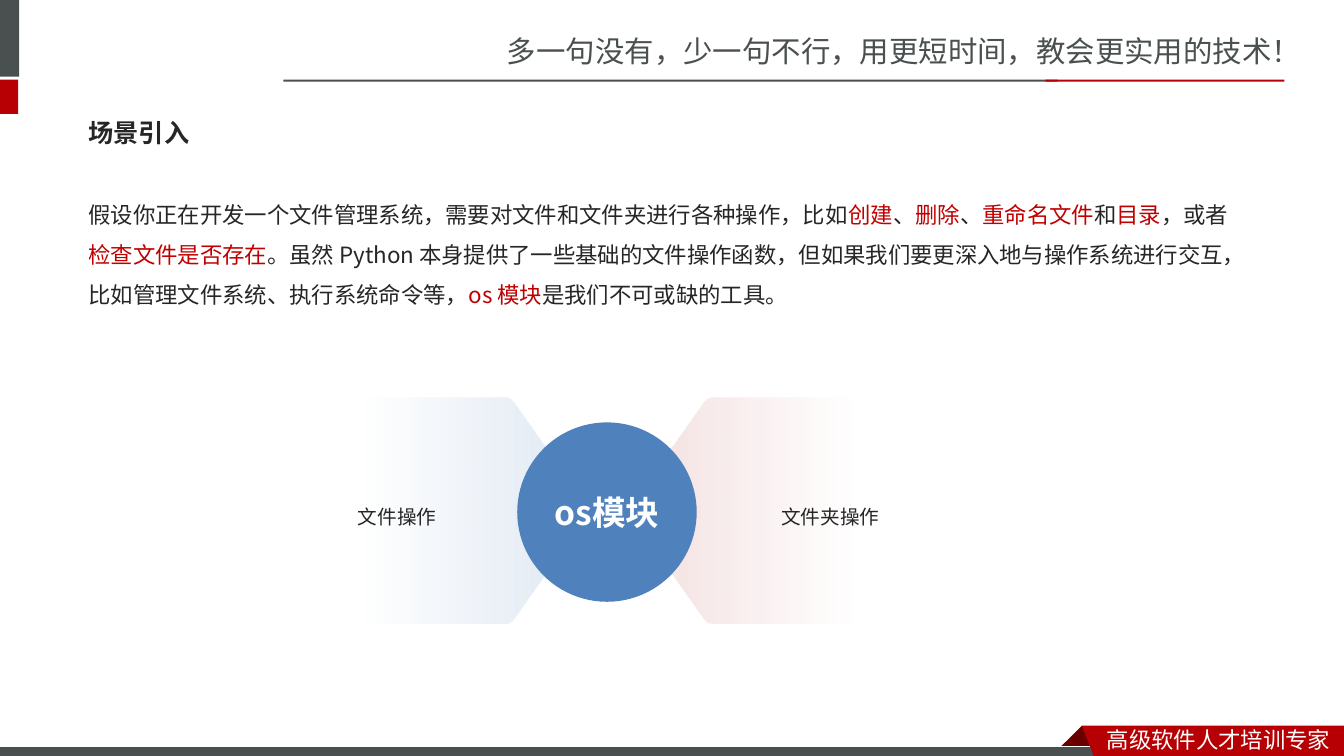
from lxml import etree
from pptx import Presentation
from pptx import util as u
from pptx.dml.color import RGBColor
from pptx.enum import shapes as sh, text as tx
from pptx.oxml.ns import qn

HEX = {"grey": "49504F", "red": "B60004", "fold": "680000", "white": "FFFFFF",
       "ink": "262626", "mark": "C00000", "blue": "4F81BD",
       "rose": "D99694", "sky": "95B3D7"}
RGB = {name: RGBColor.from_string(code) for name, code in HEX.items()}
SC, JP = "Noto Sans CJK SC", "Noto Sans CJK JP"

deck = Presentation()
deck.slide_width, deck.slide_height = u.Inches(13.33), u.Inches(7.5)
slide = deck.slides.add_slide(deck.slide_layouts[6])
items = slide.shapes
CELL = deck.slide_height / 90  # the slide is a grid of 160 columns by 90 rows


def grid(*cells):
    return [u.Emu(round(n * CELL)) for n in cells]


def write(shape, words, font, para={}, frame={}):
    """Fill a shape with one paragraph; parts between bars are marked red."""
    body = shape.text_frame
    line = body.paragraphs[0]
    for target, values in ((body, {"word_wrap": True, **frame}), (line, para)):
        for key, value in values.items():
            setattr(target, key, value)
    face, size, ink, bold = font
    for i, part in enumerate(words.split("|")):
        run = line.add_run()
        run.text = part
        for key, value in {"name": face, "size": u.Pt(size), "bold": bold}.items():
            setattr(run.font, key, value)
        run.font.color.rgb = RGB["mark" if i % 2 else ink]
        etree.SubElement(run.font._element, qn("a:ea"), typeface=face)


# Header, footer and the folded ribbon
fold = [(128.76, 86.4), (131.4, 89.04), (131.28, 89.16), (126.24, 89.16), (126.12, 89.04)]
ribbon = [(128.76, 86.4), (160, 86.4), (160, 90.48), (130.32, 90.36)]
parts = [("grey", (-0.72, 0, 3, 9.12)),
         ("red", (-0.72, 9.48, 2.88, 4.08)),
         ("grey", (33.72, 9.48, 92.16, 0.24)),
         ("red", (124.44, 9.48, 28.44, 0.24)),
         ("fold", fold),
         ("grey", (-0.12, 88.92, 132, 1.44)),
         ("red", ribbon)]
for color, form in parts:
    if isinstance(form, list):
        pen = items.build_freeform(*grid(*form[0]), scale=1)
        pen.add_line_segments([grid(*dot) for dot in form[1:]])
        part = pen.convert_to_shape()
    else:
        part = items.add_shape(sh.MSO_SHAPE.RECTANGLE, *grid(*form))
    part.shadow.inherit = False
    part.fill.solid()
    part.fill.fore_color.rgb = RGB[color]
    part.line.fill.background()
    if form[0] == -0.12:
        part.line.color.rgb, part.line.width = RGB["white"], u.Pt(0.75)

# Text
story = ("假设你正在开发一个文件管理系统，需要对文件和文件夹进行各种操作，比如|创建|、|删除|、"
         "|重命名文件|和|目录|，或者|检查文件是否存在|。虽然 Python 本身提供了一些基础的文件操作函数，"
         "但如果我们要更深入地与操作系统进行交互，比如管理文件系统、执行系统命令等，"
         "|os 模块|是我们不可或缺的工具。")
middle = {"vertical_anchor": tx.MSO_ANCHOR.MIDDLE}
wide = {"line_spacing": 1.5}
texts = [((59.16, 3.36, 100.92, 5.4), "多一句没有，少一句不行，用更短时间，教会更实用的技术！",
          (SC, 21, "grey", False), {}, {}),
         ((130.56, 85.8, 29.4, 4.44), "高级软件人才培训专家", (SC, 16, "white", False), {}, {}),
         ((9.36, 12.36, 140.4, 6.84), "场景引入", (JP, 18, "ink", True), {}, middle),
         ((9.36, 21.72, 140.4, 55.32), story, (JP, 16, "ink", False), wide, {})]
for place, *rest in texts:
    write(items.add_textbox(*grid(*place)), *rest)

# Two mirrored wings, drawn from the tip outwards and back
half = [(0, 0), (0.24, 0.78), (8.76, 12.84), (9.24, 13.3), (9.84, 13.44),
        (36.6, 13.44), (37.5, 13.08), (37.92, 12)]
rim = [(x, -y) for x, y in half] + half[:0:-1]
mid = 60.84
wings = [("文件夹操作", 75, 1, "rose", ((0, 30), (0.7, 0)), "left", tx.PP_ALIGN.JUSTIFY),
         ("文件操作", 69.96, -1, "sky", ((0.3, 0), (1, 30)), "right", tx.PP_ALIGN.RIGHT)]
for label, root, way, color, stops, side, align in wings:
    dots = [grid(root + way * x, mid + y) for x, y in rim]
    pen = items.build_freeform(*dots[0], scale=1)
    pen.add_line_segments(dots[1:])
    wing = pen.convert_to_shape()
    wing.shadow.inherit = False
    wing.line.fill.background()
    wing.fill.gradient()
    wing.fill.gradient_angle = 0
    for stop, (spot, _) in zip(wing.fill.gradient_stops, stops):
        stop.position, stop.color.rgb = spot, RGB[color]
    for tint, (_, alpha) in zip(wing._element.iter(qn("a:srgbClr")), stops):
        etree.SubElement(tint, qn("a:alpha"), val=str(alpha * 1000))
    inset = {"margin_left": 0, "margin_right": 0, "margin_" + side: u.Inches(1.5)}
    write(wing, label, (SC, 14, "ink", False), {"alignment": align, **wide}, {**middle, **inset})

hub = items.add_shape(sh.MSO_SHAPE.OVAL, *grid(61.56, 50.28, 21.36, 21.36))
hub.shadow.inherit = False
hub.fill.solid()
hub.fill.fore_color.rgb = RGB["blue"]
hub.line.fill.background()
write(hub, "os模块", (SC, 24, "white", True), {"alignment": tx.PP_ALIGN.CENTER}, middle)

deck.save("out.pptx")
